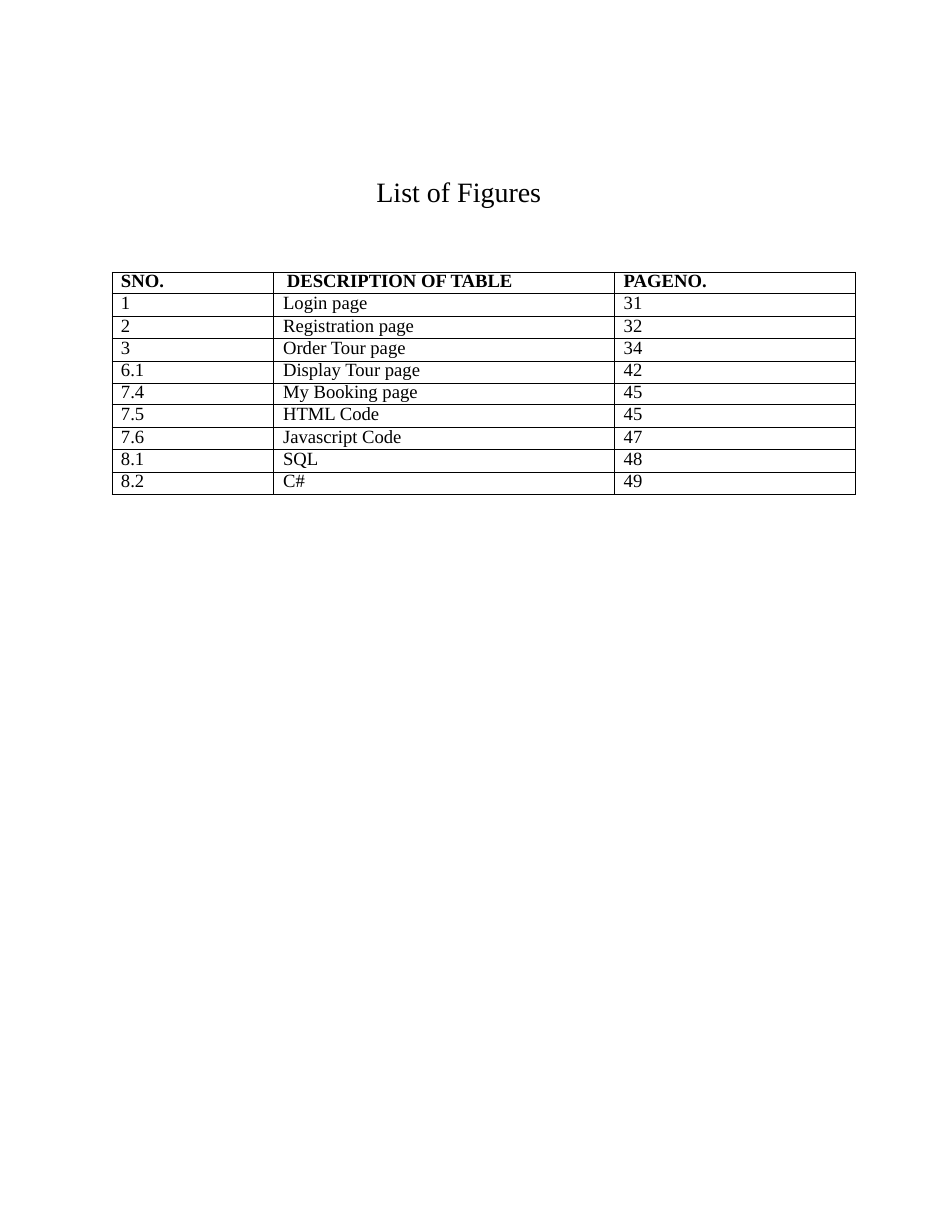
import dataclasses
import lxml.etree
import pptx
import pptx.dml.color
import pptx.enum.text
import pptx.oxml.ns
import pptx.util

Pt = pptx.util.Pt


@dataclasses.dataclass
class Theme:
    font: str = "Times New Roman"
    ink: str = "000000"
    title: float = 18
    body: float = 12
    rule: float = 0.5


THEME = Theme()
HEADS = ("SNO.", "DESCRIPTION OF TABLE", "PAGENO.")
ROWS = [
    ("1", "Login page", "31"),
    ("2", "Registration page", "32"),
    ("3", "Order Tour page", "34"),
    ("6.1", "Display Tour page", "42"),
    ("7.4", "My Booking page", "45"),
    ("7.5", "HTML Code", "45"),
    ("7.6", "Javascript Code", "47"),
    ("8.1", "SQL", "48"),
    ("8.2", "C#", "49"),
]
WIDTHS = (103.7, 219.5, 154.9)
SHORT = (0, 5)


def style(para, size, bold=False):
    para.alignment = pptx.enum.text.PP_ALIGN.LEFT
    for run in para.runs:
        font = run.font
        font.name, font.size, font.bold = THEME.font, Pt(size), bold
        font.color.rgb = pptx.dml.color.RGBColor.from_string(THEME.ink)


def border(cell):
    props = cell._tc.get_or_add_tcPr()
    qn = pptx.oxml.ns.qn
    for side in ("a:lnL", "a:lnR", "a:lnT", "a:lnB"):
        line = lxml.etree.SubElement(props, qn(side), w=str(Pt(THEME.rule)))
        fill = lxml.etree.SubElement(line, qn("a:solidFill"))
        lxml.etree.SubElement(fill, qn("a:srgbClr"), val=THEME.ink)


def add_title(slide, left, top, width, height):
    title = slide.shapes.title
    title.left, title.top = Pt(left), Pt(top)
    title.width, title.height = Pt(width), Pt(height)
    frame = title.text_frame
    frame.text = "List of Figures"
    frame.margin_left = frame.margin_right = frame.margin_bottom = 0
    frame.margin_top = Pt(0.95)
    frame.vertical_anchor = pptx.enum.text.MSO_ANCHOR.TOP
    frame.auto_size = pptx.enum.text.MSO_AUTO_SIZE.NONE
    frame.word_wrap = True
    para = frame.paragraphs[0]
    para.space_before = Pt(1)
    style(para, THEME.title)


def add_list(slide, left, top, width, height):
    data = [HEADS, *ROWS]
    frame = slide.shapes.add_table(
        len(data), len(HEADS), Pt(left), Pt(top), Pt(width), Pt(height))
    table = frame.table
    table.first_row = table.horz_banding = False
    for col, size in zip(table.columns, WIDTHS):
        col.width = Pt(size)
    for i, texts in enumerate(data):
        table.rows[i].height = Pt(13.8 if i in SHORT else 14.4)
        for j, text in enumerate(texts):
            cell = table.cell(i, j)
            cell.text = text
            cell.margin_left = Pt((8.8 if i == 0 else 6.3) if j == 1 else 5.8)
            cell.margin_right = cell.margin_top = cell.margin_bottom = 0
            border(cell)
            cell.fill.background()
            para = cell.text_frame.paragraphs[0]
            para.line_spacing = Pt(12.6 if i in SHORT else 12.9)
            style(para, THEME.body, i == 0)


def main():
    deck = pptx.Presentation()
    deck.slide_width, deck.slide_height = Pt(612), Pt(792)
    slide = deck.slides.add_slide(deck.slide_layouts[5])
    add_title(slide, 242, 111, 108, 24)
    add_list(slide, 72, 175, sum(WIDTHS), 142.8)
    deck.save("out.pptx")


if __name__ == "__main__":
    main()
